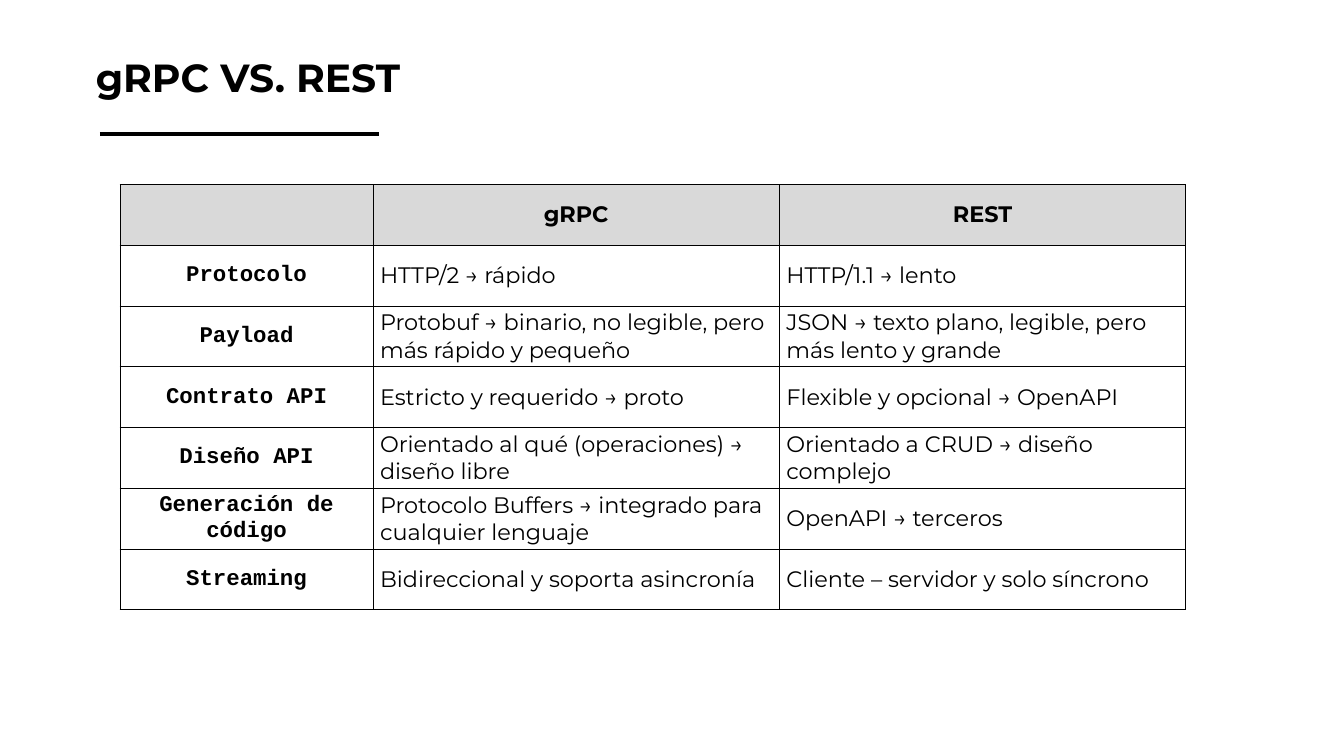
from lxml.etree import SubElement
from pptx import Presentation
from pptx.dml.color import RGBColor
from pptx.enum.shapes import MSO_CONNECTOR
from pptx.enum.text import MSO_ANCHOR, MSO_AUTO_SIZE, PP_ALIGN
from pptx.oxml.ns import qn
from pptx.util import Inches, Pt

# Content
TITLE = "gRPC VS. REST"
COMPARISON = [
    ("", "gRPC", "REST"),
    ("Protocolo", "HTTP/2 → rápido", "HTTP/1.1 → lento"),
    ("Payload", "Protobuf → binario, no legible, pero más rápido y pequeño",
     "JSON → texto plano, legible, pero más lento y grande"),
    ("Contrato API", "Estricto y requerido → proto", "Flexible y opcional → OpenAPI"),
    ("Diseño API", "Orientado al qué (operaciones) → diseño libre",
     "Orientado a CRUD → diseño complejo"),
    ("Generación de código", "Protocolo Buffers → integrado para cualquier lenguaje",
     "OpenAPI → terceros"),
    ("Streaming", "Bidireccional y soporta asincronía",
     "Cliente – servidor y solo síncrono"),
]

# Formats
BLACK = RGBColor(0x00, 0x00, 0x00)
HEADER_GRAY = RGBColor(0xD9, 0xD9, 0xD9)
TITLE_FONT = {"name": "Montserrat", "size": Pt(28), "bold": True}
HEADER_FONT = {"name": "Montserrat", "size": Pt(16), "bold": True}
ASPECT_FONT = {"name": "Courier New", "size": Pt(16), "bold": True}
DETAIL_FONT = {"name": "Montserrat", "size": Pt(16), "bold": False}
TITLE_FRAME = {
    "word_wrap": True, "auto_size": MSO_AUTO_SIZE.SHAPE_TO_FIT_TEXT,
    "vertical_anchor": MSO_ANCHOR.MIDDLE,
    "margin_left": Inches(0.13), "margin_right": Inches(0.13),
    "margin_top": Inches(0.13), "margin_bottom": Inches(0.13),
}
CELL_FRAME = {
    "vertical_anchor": MSO_ANCHOR.MIDDLE,
    "margin_left": Inches(0.07), "margin_right": Inches(0.07),
    "margin_top": Inches(0.03), "margin_bottom": Inches(0.03),
}
BORDER_WIDTH = Pt(0.64)

# Grid
TABLE_LEFT, TABLE_TOP, TABLE_HEIGHT = Inches(1.19), Inches(1.83), Inches(4.22)
COLUMN_WIDTHS = [Inches(width) for width in (2.51, 4.03, 4.03)]
ROW_HEIGHT = TABLE_HEIGHT // len(COMPARISON)


def apply(target, values):
    for attribute, value in values.items():
        setattr(target, attribute, value)


def write(paragraph, text, font, align=PP_ALIGN.LEFT):
    paragraph.alignment = align
    if text:
        run = paragraph.add_run()
        run.text = text
        apply(run.font, font)
        run.font.color.rgb = BLACK


def add_borders(cell):
    properties = cell._tc.get_or_add_tcPr()
    for side in ("a:lnL", "a:lnR", "a:lnT", "a:lnB"):
        border = SubElement(properties, qn(side), w=str(BORDER_WIDTH))
        fill = SubElement(border, qn("a:solidFill"))
        SubElement(fill, qn("a:srgbClr"), val=str(BLACK))


def main():
    prs = Presentation()
    prs.slide_width, prs.slide_height = Inches(13.33), Inches(7.5)
    slide = prs.slides.add_slide(prs.slide_layouts[5])

    # Title
    title = slide.shapes.title
    apply(title, {"left": Inches(0.82), "top": Inches(0.32),
                  "width": Inches(8.75), "height": Inches(0.81)})
    apply(title.text_frame, TITLE_FRAME)
    heading = title.text_frame.paragraphs[0]
    heading.line_spacing = 1.15
    write(heading, TITLE, TITLE_FONT)

    # Rule under the title
    rule = slide.shapes.add_connector(
        MSO_CONNECTOR.STRAIGHT, Inches(0.99), Inches(1.33), Inches(3.76), Inches(1.33))
    rule.line.color.rgb = BLACK
    rule.line.width = Pt(3)
    SubElement(rule._element.spPr, qn("a:effectLst"))

    # Comparison table
    table = slide.shapes.add_table(
        len(COMPARISON), len(COLUMN_WIDTHS), TABLE_LEFT, TABLE_TOP,
        sum(COLUMN_WIDTHS), TABLE_HEIGHT).table
    table.horz_banding = False
    for column, width in zip(table.columns, COLUMN_WIDTHS):
        column.width = width
    for row_index, entries in enumerate(COMPARISON):
        table.rows[row_index].height = ROW_HEIGHT
        for column_index, entry in enumerate(entries):
            cell = table.cell(row_index, column_index)
            apply(cell, CELL_FRAME)
            add_borders(cell)
            is_header, is_aspect = row_index == 0, column_index == 0
            if is_header:
                cell.fill.solid()
                cell.fill.fore_color.rgb = HEADER_GRAY
            else:
                cell.fill.background()
            font = HEADER_FONT if is_header else ASPECT_FONT if is_aspect else DETAIL_FONT
            align = PP_ALIGN.CENTER if is_header or is_aspect else PP_ALIGN.LEFT
            write(cell.text_frame.paragraphs[0], entry, font, align)

    prs.save("out.pptx")


if __name__ == "__main__":
    main()
